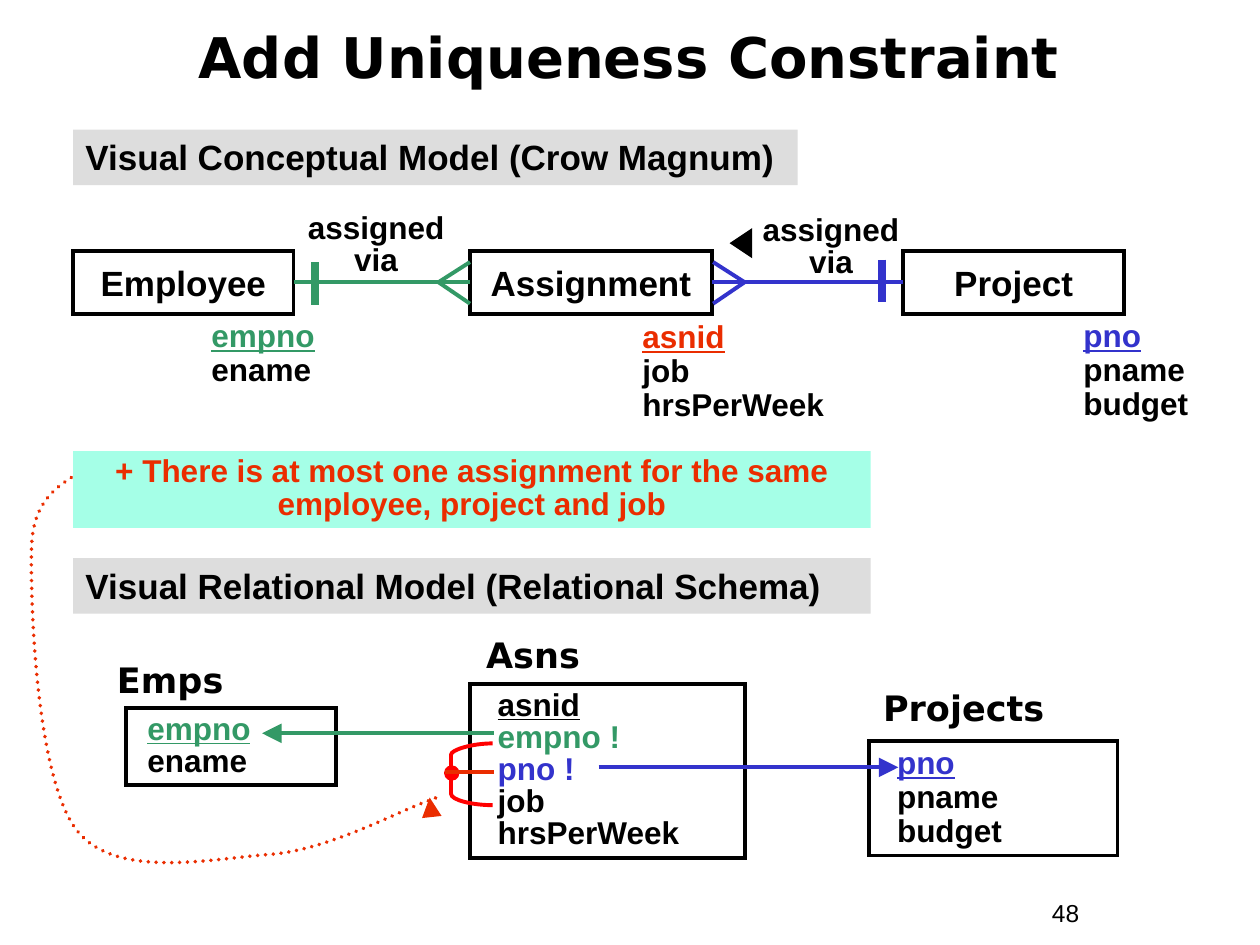
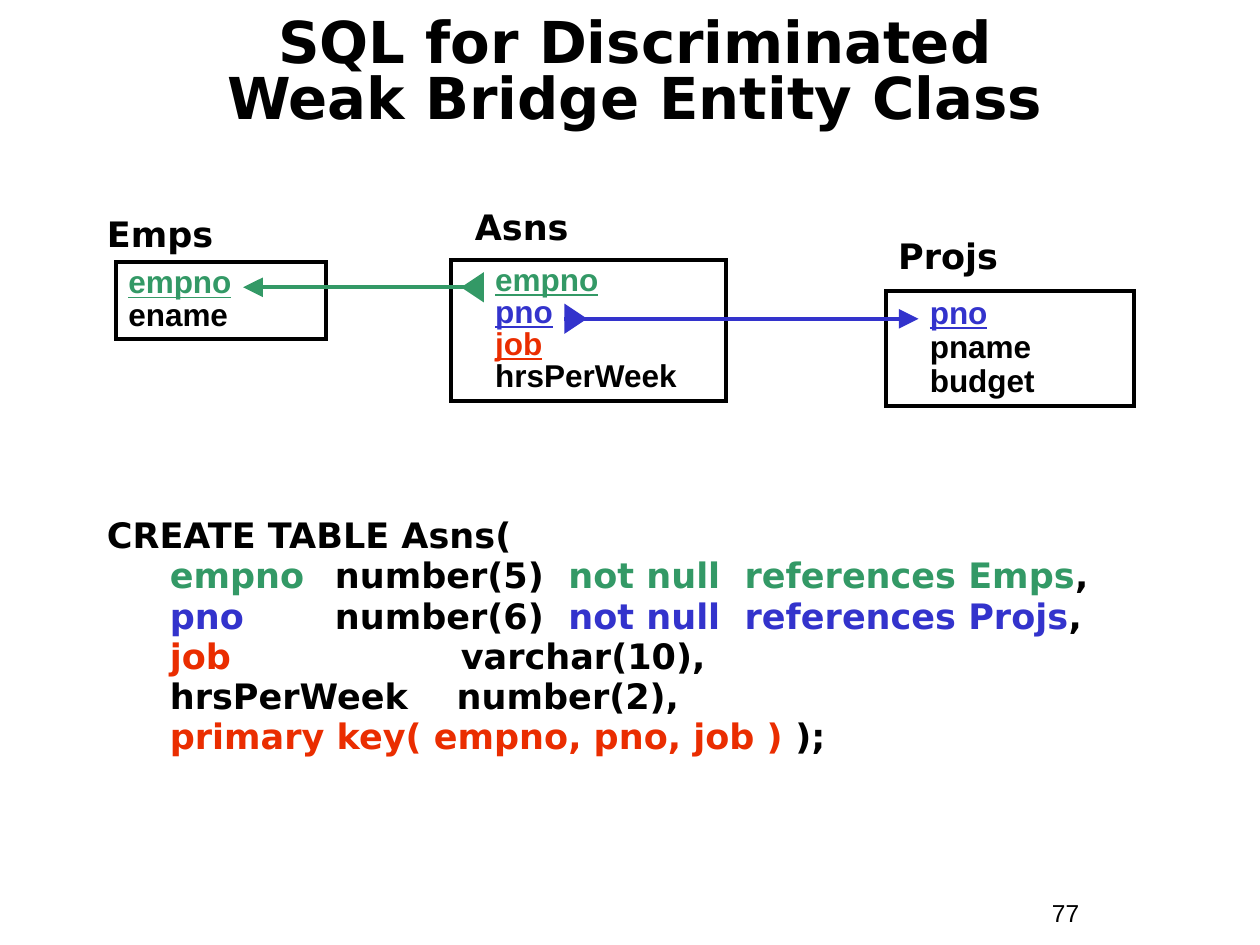
from pptx import Presentation
from pptx.dml.color import RGBColor
from pptx.enum.dml import MSO_LINE
from pptx.enum.shapes import MSO_CONNECTOR, MSO_SHAPE
from pptx.enum.text import MSO_ANCHOR, PP_ALIGN
from pptx.oxml.ns import qn
from pptx.util import Inches, Pt
from lxml import etree

BLACK = RGBColor(0x00, 0x00, 0x00)
GREEN = RGBColor(0x33, 0x99, 0x66)
BLUE = RGBColor(0x33, 0x33, 0xCC)
ORANGE = RGBColor(0xEA, 0x2D, 0x00)
RED = RGBColor(0xFF, 0x00, 0x00)
GRAY = RGBColor(0xDD, 0xDD, 0xDD)
MINT = RGBColor(0xA5, 0xFF, 0xE7)

BODY_FONT = "Arial"
HEAD_FONT = "DejaVu Sans"
LINE_WIDTH = 2.25

STRAIGHT = MSO_CONNECTOR.STRAIGHT
RECTANGLE, TRIANGLE, OVAL = MSO_SHAPE.RECTANGLE, MSO_SHAPE.ISOSCELES_TRIANGLE, MSO_SHAPE.OVAL
LEFT, CENTER = PP_ALIGN.LEFT, PP_ALIGN.CENTER
TOP, MIDDLE = MSO_ANCHOR.TOP, MSO_ANCHOR.MIDDLE
DOTTED = MSO_LINE.ROUND_DOT
RIGHT_SIDE, LEFT_SIDE = 3, 1


def key(name, color):
    """A line holding one underlined, coloured attribute."""
    return [(name, color, True)]


def colored(name, color):
    return [(name, color, False)]


def write_text(shape, lines, size=18, font=BODY_FONT, color=BLACK, bold=True,
               align=LEFT, anchor=TOP, spacing=None, indent=0):
    """Fill a shape; a line is a string or a list of (text, color, underline)."""
    frame = shape.text_frame
    frame.word_wrap = True
    frame.vertical_anchor = anchor
    frame.margin_left = Inches(0.1 + indent)
    for number, line in enumerate(lines):
        paragraph = frame.add_paragraph() if number else frame.paragraphs[0]
        paragraph.alignment = align
        if spacing:
            paragraph.line_spacing = spacing
        runs = colored(line, color) if isinstance(line, str) else line
        for text, run_color, underline in runs:
            run = paragraph.add_run()
            run.text = text
            run.font.name = font
            run.font.size = Pt(size)
            run.font.bold = bold
            run.font.underline = underline
            run.font.color.rgb = run_color


def add_text(slide, box, lines, **text_format):
    shape = slide.shapes.add_textbox(*map(Inches, box))
    write_text(shape, lines, **text_format)
    return shape


def add_shape(slide, kind, box, fill=None, line=None, rotation=0):
    shape = slide.shapes.add_shape(kind, *map(Inches, box))
    shape.shadow.inherit = False
    shape.rotation = rotation
    paint(shape, fill, line)
    return shape


def line_element(shape):
    return shape._element.spPr.find(qn("a:ln"))


def paint(shape, fill, line):
    if fill is None:
        shape.fill.background()
    else:
        shape.fill.solid()
        shape.fill.fore_color.rgb = fill
    if line is None:
        shape.line.fill.background()
    else:
        shape.line.color.rgb = line
        shape.line.width = Pt(LINE_WIDTH)
        etree.SubElement(line_element(shape), qn("a:miter"), lim="800000")


def add_arrowhead(shape):
    etree.SubElement(line_element(shape), qn("a:tailEnd"),
                     type="triangle", w="lg", len="lg")


def add_line(slide, start, end, color, width=LINE_WIDTH, arrow=False):
    connector = slide.shapes.add_connector(STRAIGHT, *map(Inches, (*start, *end)))
    connector.line.color.rgb = color
    connector.line.width = Pt(width)
    etree.SubElement(connector._element.spPr, qn("a:effectLst"))
    if arrow:
        add_arrowhead(connector)
    return connector


def add_curve(slide, start, segments, color):
    """Draw an outline; three points make a cubic segment, one a straight line."""
    builder = slide.shapes.build_freeform(*map(Inches, start))
    builder.add_line_segments([tuple(map(Inches, point)) for segment in segments
                               for point in segment], close=False)
    shape = builder.convert_to_shape()
    line_steps = iter(list(shape._element.iter(qn("a:lnTo"))))
    for segment in segments:
        steps = [next(line_steps) for _ in segment]
        if len(steps) == 3:
            cubic = etree.Element(qn("a:cubicBezTo"))
            steps[0].addprevious(cubic)
            for step in steps:
                cubic.append(step[0])
                step.getparent().remove(step)
    shape.shadow.inherit = False
    paint(shape, None, color)
    return shape


def add_band(slide, top, width, text):
    band = add_shape(slide, RECTANGLE, (0.58, top, width, 0.44), fill=GRAY)
    write_text(band, [text], size=20)


def add_entity(slide, left, width, name):
    entity = add_shape(slide, RECTANGLE, (left, 1.99, width, 0.5), line=BLACK)
    write_text(entity, [name], size=20, align=CENTER, anchor=MIDDLE)
    return entity


def add_relationship(slide, one, many, one_side, many_side, color, bar, fork, many_x):
    """Join two entities with a bar at the one end and a crow's foot at the many end."""
    connector = add_line(slide, (bar[0], 2.24), (fork, 2.24), color)
    connector.begin_connect(one, one_side)
    connector.end_connect(many, many_side)
    for toe_y in (2.08, 2.41):
        add_line(slide, (fork, 2.24), (many_x, toe_y), color)
    add_line(slide, bar, (bar[0], bar[1] + 0.34), color, width=4.5)


def add_table_box(slide, name, name_at, box, columns, indent, spacing=0.85):
    """A relational table: its name above a box listing its columns."""
    add_text(slide, (*name_at, 2.15, 0.44), [name], size=20, font=HEAD_FONT)
    rectangle = add_shape(slide, RECTANGLE, box, line=BLACK)
    write_text(rectangle, columns, spacing=spacing, indent=indent)


def add_code(slide, box, lines):
    shape = add_text(slide, box, lines, size=20, font=HEAD_FONT, spacing=0.85)
    for paragraph in shape.text_frame.paragraphs[1:]:
        paragraph.space_before = Pt(2.5)
        properties = paragraph._p.get_or_add_pPr()
        properties.set("marL", str(Inches(0.81)))
        properties.set("indent", str(Inches(-0.31)))
        properties.set("defTabSz", str(Inches(1)))


def add_slide(presentation, title, number, title_box, title_size, title_spacing):
    slide = presentation.slides.add_slide(presentation.slide_layouts[6])
    add_text(slide, (8.25, 7.08, 0.92, 0.34), [number], size=14, bold=False)
    add_text(slide, title_box, title, size=title_size, font=HEAD_FONT,
             align=CENTER, anchor=MIDDLE, spacing=title_spacing)
    return slide


EMPLOYEE_COLUMNS = [key("empno", GREEN), "ename"]
PROJECT_COLUMNS = [key("pno", BLUE), "pname", "budget"]


def build_uniqueness_slide(presentation):
    slide = add_slide(presentation, ["Add Uniqueness Constraint"], "48",
                      (0.33, 0.11, 9.33, 0.75), 32, 0.85)

    add_band(slide, 1.03, 5.75, "Visual Conceptual Model (Crow Magnum)")
    employee = add_entity(slide, 0.58, 1.75, "Employee")
    assignment = add_entity(slide, 3.73, 1.92, "Assignment")
    project = add_entity(slide, 7.17, 1.75, "Project")
    add_relationship(slide, employee, assignment, RIGHT_SIDE, LEFT_SIDE,
                     GREEN, (2.5, 2.08), 3.48, 3.73)
    add_relationship(slide, project, assignment, LEFT_SIDE, RIGHT_SIDE,
                     BLUE, (7, 2.06), 5.91, 5.66)
    for left, top in ((2.32, 1.65), (5.93, 1.66)):
        add_text(slide, (left, top, 1.33, 0.61), ["assigned via"],
                 align=CENTER, spacing=0.85)
    add_shape(slide, TRIANGLE, (5.76, 1.84, 0.24, 0.18), fill=BLACK, rotation=270)
    attribute_lists = (
        ((1.58, 2.49, 1.5, 0.64), EMPLOYEE_COLUMNS),
        ((5, 2.5, 1.75, 0.91), [key("asnid", ORANGE), "job", "hrsPerWeek"]),
        ((8.5, 2.49, 1.17, 0.91), PROJECT_COLUMNS),
    )
    for box, attributes in attribute_lists:
        add_text(slide, box, attributes, spacing=0.9)

    add_band(slide, 4.43, 6.33, "Visual Relational Model (Relational Schema)")
    add_table_box(slide, "Emps", (0.83, 5.18), (1, 5.62, 1.67, 0.61),
                  EMPLOYEE_COLUMNS, 0.07)
    add_table_box(slide, "Asns", (3.76, 4.98), (3.73, 5.43, 2.18, 1.38),
                  [key("asnid", BLACK), colored("empno !", GREEN),
                   colored("pno !", BLUE), "job", "hrsPerWeek"], 0.12)
    add_table_box(slide, "Projects", (6.91, 5.4), (6.9, 5.88, 1.97, 0.91),
                  PROJECT_COLUMNS, 0.12, spacing=0.9)
    add_line(slide, (3.92, 5.82), (2.08, 5.82), GREEN, arrow=True)
    add_line(slide, (4.75, 6.09), (7.13, 6.09), BLUE, arrow=True)

    constraint_link = add_curve(slide, (0.66, 3.71), [
        [(0.59, 3.82), (0.26, 3.87), (0.25, 4.35)],
        [(0.24, 4.82), (0.29, 6.18), (0.61, 6.59)],
        [(0.92, 6.99), (1.7, 6.81), (2.16, 6.78)],
        [(2.62, 6.74), (3.18, 6.43), (3.39, 6.36)],
        [(3.59, 6.28), (3.4, 6.34), (3.41, 6.33)],
    ], ORANGE)
    constraint_link.line.dash_style = DOTTED
    line_element(constraint_link).set("cap", "rnd")
    add_arrowhead(constraint_link)
    constraint = add_shape(slide, RECTANGLE, (0.58, 3.58, 6.33, 0.61), fill=MINT)
    write_text(constraint, ["+ There is at most one assignment for the same "
                            "employee, project and job"],
               color=ORANGE, align=CENTER, spacing=0.85)

    add_curve(slide, (3.91, 5.9), [
        [(3.75, 5.9), (3.58, 5.95), (3.58, 5.99)],
        [(3.58, 6.3)],
        [(3.58, 6.35), (3.75, 6.39), (3.91, 6.39)],
    ], RED)
    add_shape(slide, OVAL, (3.54, 6.09, 0.09, 0.09), fill=RED, line=RED)
    add_line(slide, (3.53, 6.13), (3.92, 6.13), ORANGE)


def build_sql_slide(presentation):
    slide = add_slide(presentation, ["SQL for Discriminated", "Weak Bridge Entity Class"],
                      "77", (0.33, 0.26, 9.42, 0.67), 33, 0.8)

    add_table_box(slide, "Emps", (0.75, 1.64), (0.92, 2.08, 1.67, 0.61),
                  EMPLOYEE_COLUMNS, 0)
    add_table_box(slide, "Asns", (3.67, 1.58), (3.58, 2.06, 2.18, 1.12),
                  [key("empno", GREEN), key("pno", BLUE), key("job", ORANGE),
                   "hrsPerWeek"], 0.25)
    add_table_box(slide, "Projs", (7.03, 1.81), (7.03, 2.31, 1.97, 0.91),
                  PROJECT_COLUMNS, 0.25, spacing=0.9)
    add_line(slide, (3.83, 2.28), (1.93, 2.28), GREEN, arrow=True)
    add_line(slide, (4.48, 2.53), (7.29, 2.53), BLUE, arrow=True)
    add_shape(slide, TRIANGLE, (3.63, 2.19, 0.24, 0.18), fill=GREEN, rotation=270)
    add_shape(slide, TRIANGLE, (4.45, 2.44, 0.24, 0.18), fill=BLUE, rotation=90)

    foreign_keys = [
        colored(f"{name}\t", color) + colored(f"number({digits})  ", BLACK)
        + colored(f"not null  references {table}", color) + colored(",", BLACK)
        for name, digits, table, color in (("empno", 5, "Emps", GREEN),
                                           ("pno", 6, "Projs", BLUE))
    ]
    add_code(slide, (0.75, 4.08, 8.67, 1.98), [
        "CREATE TABLE Asns(",
        *foreign_keys,
        colored("job\t\t", ORANGE) + colored("varchar(10),", BLACK),
        "hrsPerWeek    number(2),",
        colored("primary key( empno, pno, job )", ORANGE) + colored(" );", BLACK),
    ])


def main():
    presentation = Presentation()
    presentation.slide_width = Inches(10)
    presentation.slide_height = Inches(7.5)
    build_uniqueness_slide(presentation)
    build_sql_slide(presentation)
    presentation.save("out.pptx")


if __name__ == "__main__":
    main()
